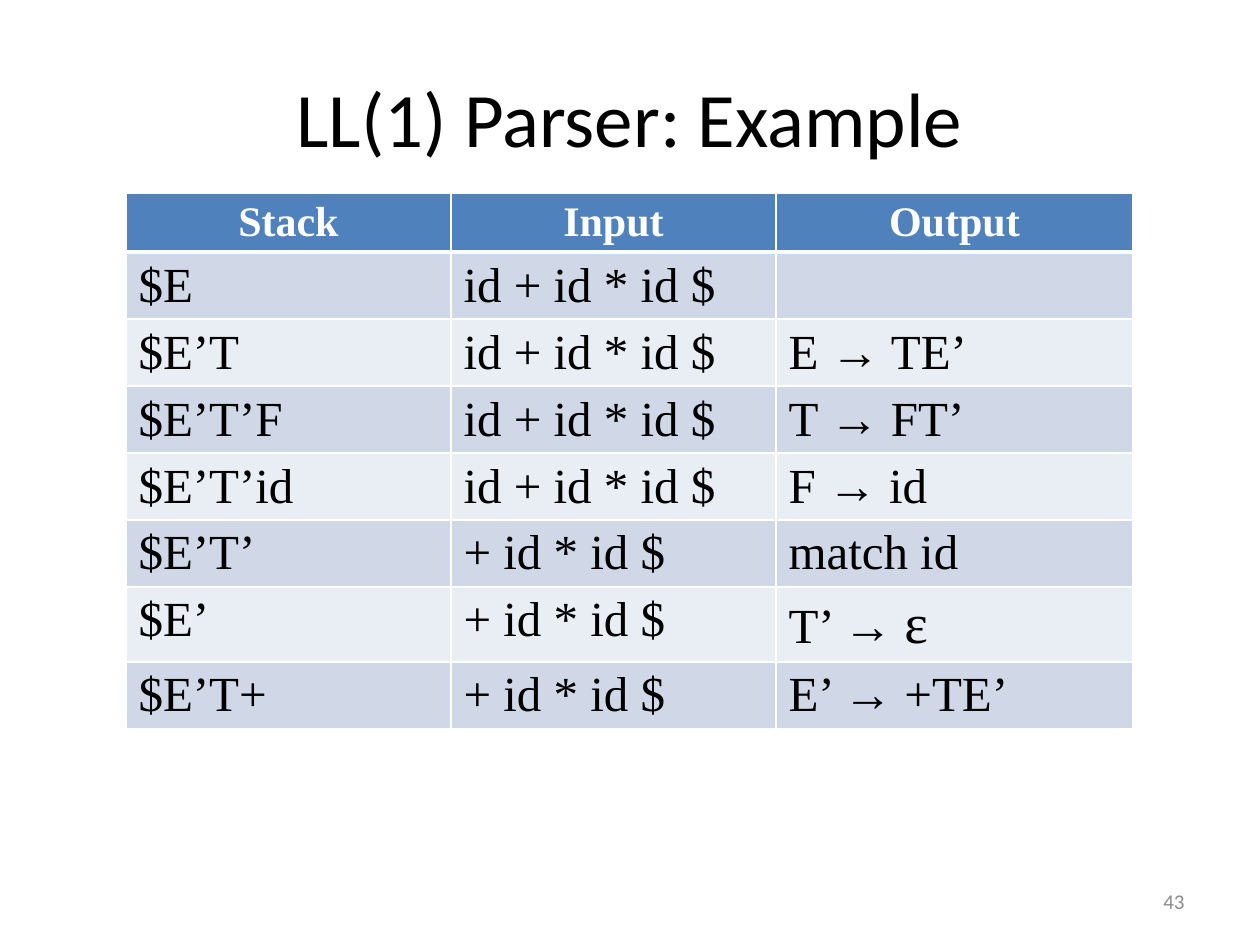
from lxml import etree
from pptx import Presentation, util as u
from pptx.dml.color import RGBColor
from pptx.enum import text
from pptx.oxml.ns import qn

PX = 914400 / 126
COLORS = {
    "ink": "000000", "paper": "FFFFFF", "header": "4F81BD",
    "odd": "D0D8E8", "even": "E9EDF4", "number": "8C8C8C",
}
SANS, SERIF = "Calibri", "Times New Roman"
HEADINGS = ("Stack", "Input", "Output")
STEPS = [
    ("$E", "id + id * id $", ""),
    ("$E’T", "id + id * id $", "E → TE’"),
    ("$E’T’F", "id + id * id $", "T → FT’"),
    ("$E’T’id", "id + id * id $", "F → id"),
    ("$E’T’", "+ id * id $", "match id"),
    ("$E’", "+ id * id $", "T’ → ε"),
    ("$E’T+", "+ id * id $", "E’ → +TE’"),
]
COLUMN_WIDTHS = (325, 325, 357)
ROW_HEIGHTS = (57, 67, 67, 67, 67, 67, 75, 67)


def px(length):
    """Turn pixels into EMU."""
    return u.Emu(round(length * PX))


def add_run(paragraph, words, size, font, color, bold=False):
    """Append one formatted run to a paragraph."""
    run = paragraph.add_run()
    run.text = words
    run.font.size = u.Pt(size)
    run.font.name = font
    run.font.bold = bold
    run.font.color.rgb = RGBColor.from_string(COLORS[color])


def place(part, box):
    """Move a shape to a box given in pixels."""
    part.left, part.top, part.width, part.height = map(px, box)


def set_borders(cell, top, bottom):
    """Rule all four sides of a cell in white, with widths in points."""
    properties = cell._tc.get_or_add_tcPr()
    widths = {"lnL": 1, "lnR": 1, "lnT": top, "lnB": bottom}
    for index, (side, width) in enumerate(widths.items()):
        line = etree.Element(qn(f"a:{side}"), w=str(u.Pt(width)))
        fill = etree.SubElement(line, qn("a:solidFill"))
        etree.SubElement(fill, qn("a:srgbClr"), val=COLORS["paper"])
        properties.insert(index, line)


def fill_cell(cell, row, words):
    """Colour, rule and write one cell of the parse table."""
    header = row == 0
    band = "header" if header else "odd" if row % 2 else "even"
    cell.fill.solid()
    cell.fill.fore_color.rgb = RGBColor.from_string(COLORS[band])
    set_borders(cell, top=3 if row == 1 else 1, bottom=3 if header else 1)
    paragraph = cell.text_frame.paragraphs[0]
    if header:
        paragraph.alignment = text.PP_ALIGN.CENTER
        add_run(paragraph, words, 24, SERIF, "paper", bold=True)
        return
    production, epsilon, _ = words.partition("ε")
    if production:
        add_run(paragraph, production, 28, SERIF, "ink")
    if epsilon:
        add_run(paragraph, epsilon, 32, SERIF, "ink")


def add_title(slide, box):
    """Write the slide title in its placeholder."""
    title = slide.shapes.title
    place(title, box)
    title.text_frame.vertical_anchor = text.MSO_ANCHOR.MIDDLE
    paragraph = title.text_frame.paragraphs[0]
    paragraph.alignment = text.PP_ALIGN.CENTER
    add_run(paragraph, "LL(1) Parser: Example", 44, SANS, "ink")


def add_parse_table(slide, left, top):
    """Draw the table of parser steps from its top left corner."""
    rows = [HEADINGS, *STEPS]
    box = left, top, sum(COLUMN_WIDTHS), sum(ROW_HEIGHTS)
    parse_table = slide.shapes.add_table(
        len(rows), len(HEADINGS), *map(px, box)).table
    for column, width in zip(parse_table.columns, COLUMN_WIDTHS):
        column.width = px(width)
    for row, (entries, height) in enumerate(zip(rows, ROW_HEIGHTS)):
        parse_table.rows[row].height = px(height)
        for column, words in enumerate(entries):
            fill_cell(parse_table.cell(row, column), row, words)


def add_page_number(slide, box):
    """Write the page number at the right of its box."""
    number = slide.shapes.add_textbox(*map(px, box))
    number.text_frame.word_wrap = True
    number.text_frame.vertical_anchor = text.MSO_ANCHOR.MIDDLE
    paragraph = number.text_frame.paragraphs[0]
    paragraph.alignment = text.PP_ALIGN.RIGHT
    add_run(paragraph, "43", 12, SANS, "number")


def main():
    """Build the slide and save it."""
    deck = Presentation()
    deck.slide_width, deck.slide_height = px(1260), px(945)
    slide = deck.slides.add_slide(deck.slide_layouts.get_by_name("Title Only"))
    add_title(slide, (63, 38, 1134, 158))
    add_parse_table(slide, 126, 193)
    add_page_number(slide, (903, 876, 294, 50))
    deck.save("out.pptx")


if __name__ == "__main__":
    main()
